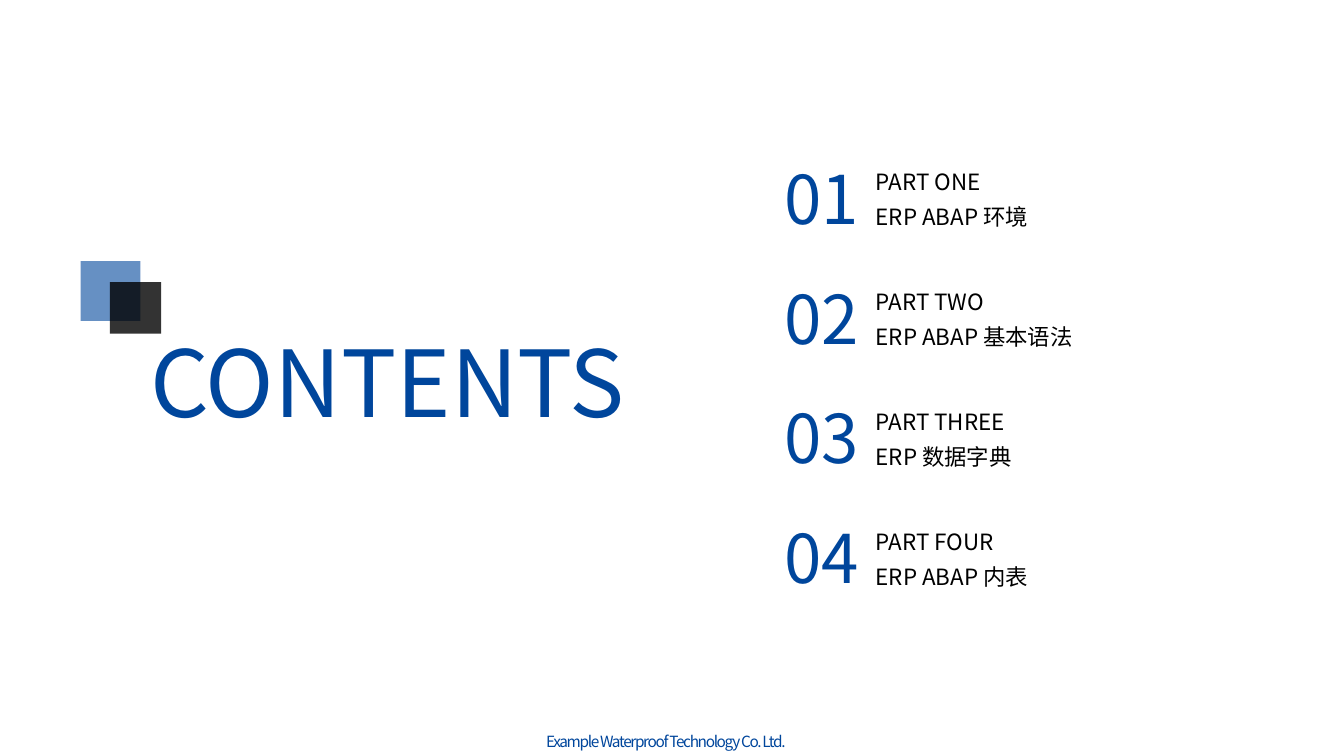
from dataclasses import dataclass

from lxml.etree import SubElement
from pptx import Presentation
from pptx.dml.color import RGBColor
from pptx.enum.shapes import MSO_SHAPE
from pptx.enum.text import MSO_AUTO_SIZE
from pptx.oxml.ns import qn
from pptx.slide import Slide
from pptx.util import Pt


@dataclass(frozen=True)
class Theme:
    font: str = "Noto Sans CJK SC"
    blue: RGBColor = RGBColor(0x00, 0x46, 0x9C)
    black: RGBColor = RGBColor(0x00, 0x00, 0x00)
    title_size: float = 66
    number_size: float = 48
    label_size: float = 16
    footer_size: float = 11


@dataclass(frozen=True)
class Box:
    left: float
    top: float
    width: float
    height: float


@dataclass(frozen=True)
class Square:
    left: float
    top: float
    side: float
    color: RGBColor
    opacity: int


@dataclass(frozen=True)
class Part:
    ordinal: str
    topic: str
    width: float


THEME = Theme()
SQUARES = (
    Square(57.6, 186.5, 42.7, THEME.blue, 60),
    Square(78.5, 201.6, 36.7, THEME.black, 80),
)
PARTS = (
    Part("ONE", "ERP ABAP 环境", 128.9),
    Part("TWO", "ERP ABAP 基本语法", 165),
    Part("THREE", "ERP 数据字典", 113.5),
    Part("FOUR", "ERP ABAP 内表", 128.9),
)
NUMBER_LEFT = 553
LABEL_LEFT = 618.5
FIRST_TOP = 108.7
PART_STEP = 85.6
LABEL_OFFSET = 2.2


def add_text(
    slide: Slide,
    box: Box,
    text: str,
    size: float,
    color: RGBColor,
    line_spacing: float = 1.0,
    character_spacing: float = 0,
) -> None:
    shape = slide.shapes.add_textbox(
        Pt(box.left), Pt(box.top), Pt(box.width), Pt(box.height)
    )
    text_frame = shape.text_frame
    text_frame.word_wrap = True
    text_frame.auto_size = MSO_AUTO_SIZE.SHAPE_TO_FIT_TEXT
    text_frame.text = text
    for paragraph in text_frame.paragraphs:
        paragraph.line_spacing = line_spacing
        for run in paragraph.runs:
            run.font.name = THEME.font
            run.font.size = Pt(size)
            run.font.color.rgb = color
            properties = run.font._element
            SubElement(properties, qn("a:ea"), typeface=THEME.font)
            if character_spacing:
                properties.set("spc", str(round(character_spacing * 100)))


def add_square(slide: Slide, square: Square) -> None:
    shape = slide.shapes.add_shape(
        MSO_SHAPE.RECTANGLE,
        Pt(square.left),
        Pt(square.top),
        Pt(square.side),
        Pt(square.side),
    )
    shape.shadow.inherit = False
    shape.line.fill.background()
    shape.fill.solid()
    shape.fill.fore_color.rgb = square.color
    color_element = shape._element.spPr.find(qn("a:solidFill"))[0]
    SubElement(color_element, qn("a:alpha"), val=str(square.opacity * 1000))


def add_part(slide: Slide, index: int, part: Part) -> None:
    top = FIRST_TOP + index * PART_STEP
    add_text(
        slide,
        Box(LABEL_LEFT, top + LABEL_OFFSET, part.width, 57.6),
        f"PART {part.ordinal}\n{part.topic}",
        THEME.label_size,
        THEME.black,
        line_spacing=1.3,
    )
    add_text(
        slide,
        Box(NUMBER_LEFT, top, 71.3, 65.5),
        f"{index + 1:02d}",
        THEME.number_size,
        THEME.blue,
    )


def main() -> None:
    presentation = Presentation()
    presentation.slide_width = Pt(960)
    presentation.slide_height = Pt(540)
    slide = presentation.slides.add_slide(presentation.slide_layouts[6])
    add_text(
        slide,
        Box(383, 519.1, 193.7, 20.9),
        "Example Waterproof Technology Co. Ltd.",
        THEME.footer_size,
        THEME.blue,
        character_spacing=-1,
    )
    add_text(
        slide,
        Box(100.1, 229, 372.2, 87.1),
        "CONTENTS",
        THEME.title_size,
        THEME.blue,
    )
    for square in SQUARES:
        add_square(slide, square)
    for index, part in enumerate(PARTS):
        add_part(slide, index, part)
    presentation.save("out.pptx")


if __name__ == "__main__":
    main()
